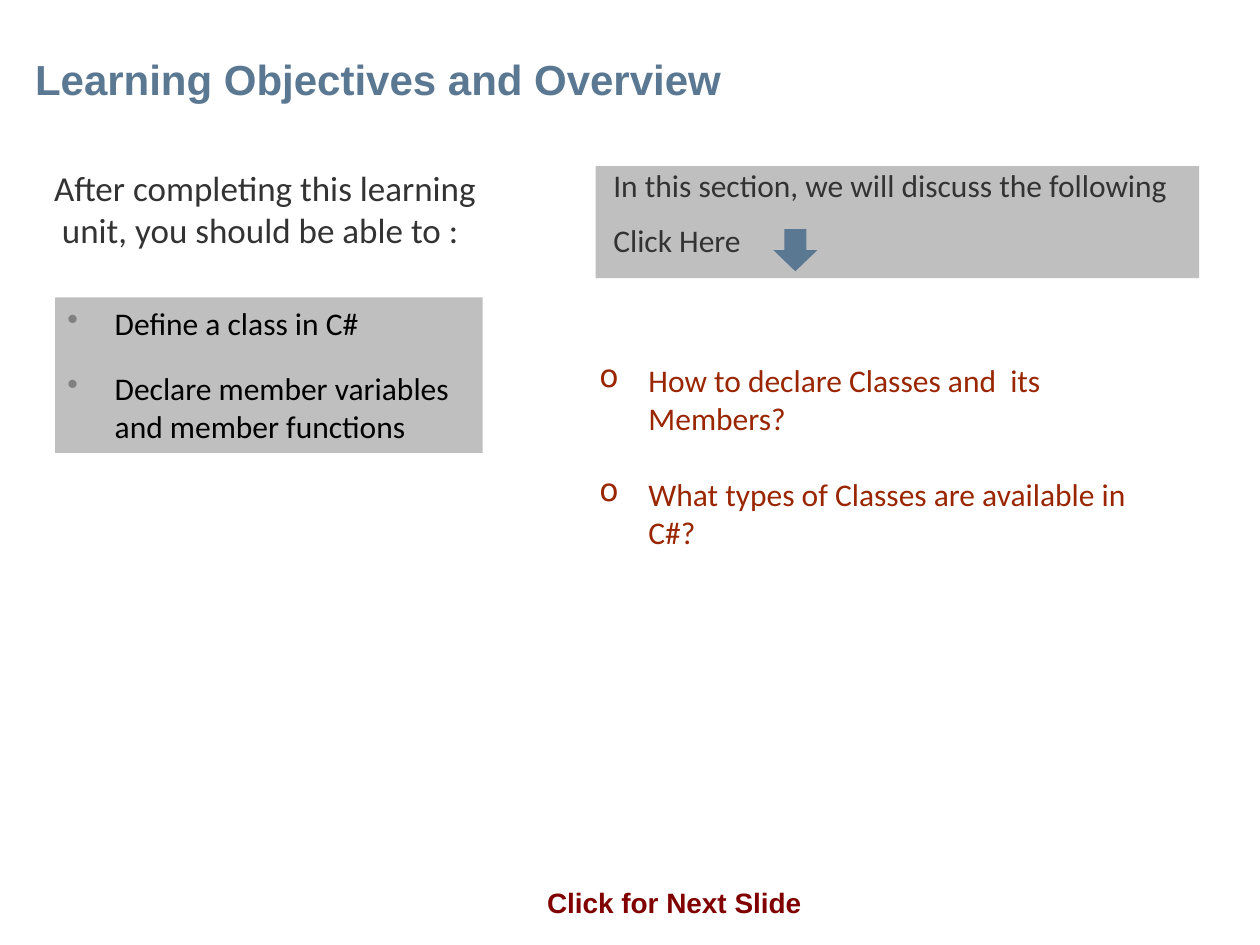
import pptx
import pptx.util
import pptx.dml.color
import pptx.enum.shapes
import pptx.enum.text
import pptx.oxml
import pptx.oxml.ns

Pt = pptx.util.Pt
ALIGN = pptx.enum.text.PP_ALIGN
ANCHOR = pptx.enum.text.MSO_ANCHOR
SHAPE = pptx.enum.shapes.MSO_SHAPE
COLOURS = {
    "heading": "5B7893",
    "panel": "BFBFBF",
    "body": "333333",
    "objective": "000000",
    "bullet": "808080",
    "question": "992600",
    "next": "800000",
}


class SlideBuilder:
    """Hold the colours and the current slide, and add styled elements to it."""

    def __init__(self, page, colours):
        self.page = page
        self.colours = colours

    def rgb(self, name):
        return pptx.dml.color.RGBColor.from_string(self.colours[name])

    def fill_text(self, box, lines, colour, font, spacing=None, bullet=None):
        frame = box.text_frame
        frame.word_wrap = True
        for index, line in enumerate(lines):
            para = frame.paragraphs[0] if index == 0 else frame.add_paragraph()
            para.text = line
            for name, value in (spacing or {}).items():
                setattr(para, name, value)
            for span in para.runs:
                for name, value in font.items():
                    setattr(span.font, name, value)
                span.font.color.rgb = self.rgb(colour)
            if bullet:
                self.add_bullet(para, **bullet)

    def add_bullet(self, para, symbol, colour, margin, hang):
        properties = para._p.get_or_add_pPr()
        properties.set("marL", str(Pt(margin)))
        properties.set("indent", str(-Pt(hang)))
        namespace = pptx.oxml.ns.nsdecls("a")
        for xml in (
            f'<a:buClr {namespace}><a:srgbClr val="{self.colours[colour]}"/></a:buClr>',
            f'<a:buChar {namespace} char="{symbol}"/>',
        ):
            properties.append(pptx.oxml.parse_xml(xml))

    def title(self, text, place, font):
        box = self.page.shapes.title
        for name, value in zip(("left", "top", "width", "height"), place):
            setattr(box, name, Pt(value))
        settings = {
            "margin_left": Pt(20),
            "margin_top": 0,
            "margin_right": 0,
            "margin_bottom": Pt(3.6),
            "vertical_anchor": ANCHOR.BOTTOM,
            "auto_size": pptx.enum.text.MSO_AUTO_SIZE.NONE,
        }
        for name, value in settings.items():
            setattr(box.text_frame, name, value)
        self.fill_text(box, [text], "heading", font, {"alignment": ALIGN.LEFT})

    def text(self, place, *content, **options):
        box = self.page.shapes.add_textbox(*map(Pt, place))
        self.fill_text(box, *content, **options)

    def shape(self, kind, place, fill):
        box = self.page.shapes.add_shape(kind, *map(Pt, place))
        box.shadow.inherit = False
        box.fill.solid()
        box.fill.fore_color.rgb = self.rgb(fill)
        box.line.fill.background()
        return box

    def panel(self, place, *content, **options):
        box = self.shape(SHAPE.RECTANGLE, place, "panel")
        box.text_frame.vertical_anchor = ANCHOR.TOP
        self.fill_text(box, *content, **options)


def main():
    deck = pptx.Presentation()
    deck.slide_width, deck.slide_height = Pt(720), Pt(540)
    builder = SlideBuilder(deck.slides.add_slide(deck.slide_layouts[5]), COLOURS)
    body = {"name": "Calibri", "size": Pt(18)}
    heading = {"name": "Arial", "size": Pt(24), "bold": True}

    builder.title("Learning Objectives and Overview", (0, 18, 658, 45), heading)
    builder.text(
        (23.8, 91.4, 280, 55.4),
        ["After completing this learning\v unit, you should be able to :"],
        "body",
        {**body, "size": Pt(20)},
    )
    builder.panel(
        (31.5, 170, 244.3, 88.8),
        ["Define a class in C#", "Declare member variables and member functions"],
        "objective",
        body,
        spacing={"alignment": ALIGN.LEFT, "space_before": Pt(12), "space_after": Pt(4)},
        bullet={"symbol": "•", "colour": "bullet", "margin": 27, "hang": 27},
    )
    builder.shape(SHAPE.RECTANGLE, (340.3, 95, 345, 64), "panel")
    builder.text(
        (343.4, 91.4, 340.6, 61.2),
        ["In this section, we will discuss the following", "Click Here"],
        "body",
        body,
        spacing={"space_before": Pt(6), "space_after": Pt(4)},
    )
    builder.shape(SHAPE.DOWN_ARROW, (442, 131, 25, 24), "heading")
    builder.text(
        (272, 502.6, 231, 26.6),
        ["Click for Next Slide "],
        "next",
        {**heading, "size": Pt(16)},
        spacing={"alignment": ALIGN.CENTER},
    )
    builder.text(
        (321, 203, 360, 160),
        ["How to declare Classes and  its Members?", "What types of Classes are available in C#?"],
        "question",
        body,
        spacing={"space_before": Pt(22)},
        bullet={"symbol": "o", "colour": "question", "margin": 42.5, "hang": 28},
    )
    deck.save("out.pptx")


if __name__ == "__main__":
    main()
